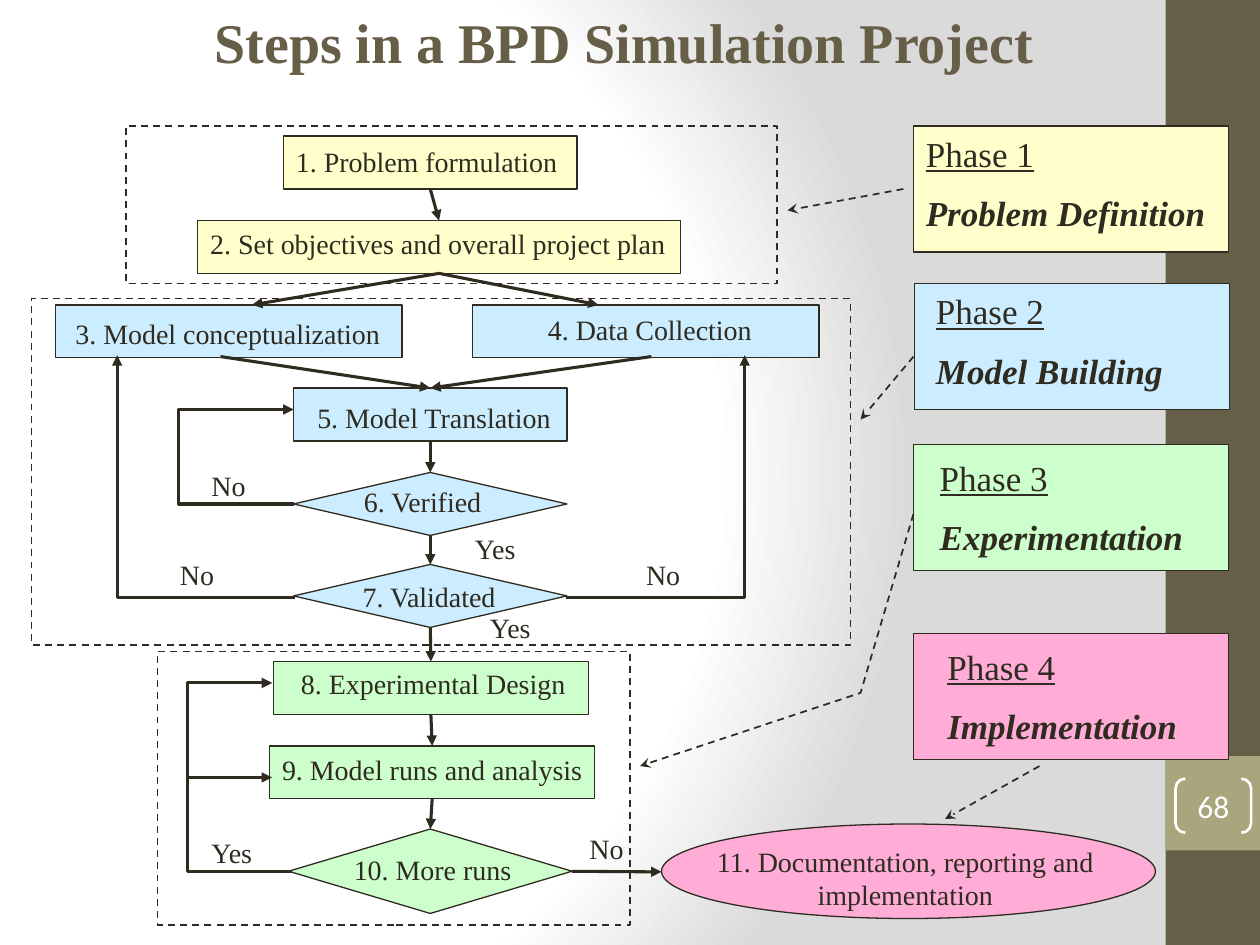
from dataclasses import dataclass
from typing import Any

from lxml import etree
from pptx import Presentation
from pptx import util as u
from pptx.dml.color import RGBColor
from pptx.enum import dml, shapes, text
from pptx.oxml import parse_xml
from pptx.oxml.ns import qn

INK, BROWN, OLIVE, WHITE = "2F2B20", "675E47", "A9A57C", "FFFFFF"
YELLOW, BLUE, GREEN, PINK = "FFFFCC", "CCECFF", "CCFFCC", "FFADD6"
SERIF = "Times New Roman"
RECT, DIAMOND, OVAL, BRACKETS = (
    shapes.MSO_SHAPE.RECTANGLE, shapes.MSO_SHAPE.DIAMOND,
    shapes.MSO_SHAPE.OVAL, shapes.MSO_SHAPE.DOUBLE_BRACKET)
TOP, LEFT, BOTTOM, RIGHT = range(4)
CENTER = text.PP_ALIGN.CENTER
BACKGROUND = """<p:bg xmlns:p="http://schemas.openxmlformats.org/presentationml/2006/main"
 xmlns:a="http://schemas.openxmlformats.org/drawingml/2006/main"><p:bgPr>
 <a:gradFill rotWithShape="1"><a:gsLst>
 <a:gs pos="0"><a:srgbClr val="FFFFFF"/></a:gs>
 <a:gs pos="75000"><a:srgbClr val="FFFFFF"/></a:gs>
 <a:gs pos="100000"><a:srgbClr val="DADADA"/></a:gs></a:gsLst>
 <a:path path="circle"><a:fillToRect l="20000" t="50000" r="100000" b="50000"/></a:path>
 </a:gradFill><a:effectLst/></p:bgPr></p:bg>"""


def color(value):
    return RGBColor.from_string(value)


def style_line(line, width, ink=INK, dashed=False, head=None):
    line.color.rgb = color(ink)
    line.width = u.Pt(width)
    if dashed:
        line.dash_style = dml.MSO_LINE.DASH
    if head:
        etree.SubElement(line._get_or_add_ln(), qn("a:tailEnd"), type=head)


def style_arrow(line, dashed):
    style_line(line, 1 if dashed else 1.75, dashed=dashed,
               head="stealth" if dashed else "triangle")


@dataclass
class Area:
    """A region of the page; its parts are placed from its top left corner."""
    page: Any
    left: float = 0
    top: float = 0

    def point(self, x, y):
        return u.Inches(self.left + x), u.Inches(self.top + y)

    def shape(self, kind, x, y, width, height, fill=None):
        shape = self.page.shapes.add_shape(
            kind, *self.point(x, y), u.Inches(width), u.Inches(height))
        shape.shadow.inherit = False
        if fill:
            shape.fill.solid()
            shape.fill.fore_color.rgb = color(fill)
        else:
            shape.fill.background()
        return shape

    def box(self, kind, x, y, width, height, fill):
        shape = self.shape(kind, x, y, width, height, fill)
        style_line(shape.line, 0.75)
        return shape

    def frame(self, width, height):
        style_line(self.shape(RECT, 0, 0, width, height).line, 1, dashed=True)

    def words(self, content, x, y, width, height=0.37, size=16, ink=INK,
              align=None, wrap=True):
        box = self.page.shapes.add_textbox(
            *self.point(x, y), u.Inches(width), u.Inches(height))
        box.text_frame.word_wrap = wrap
        box.text_frame.text = content
        for para in box.text_frame.paragraphs:
            para.alignment = align
            for span in para.runs:
                span.font.name, span.font.size = SERIF, u.Pt(size)
                span.font.color.rgb = color(ink)
        return box.text_frame

    def answer(self, content, x, y):
        self.words(content, x, y, 0.55 if content == "Yes" else 0.47, wrap=False)

    def arrow(self, start, end, dashed=False):
        """Each end is a point, or a shape and the side to join."""
        begin_joined, end_joined = (hasattr(tip[0], "shape_id") for tip in (start, end))
        line = self.page.shapes.add_connector(
            shapes.MSO_CONNECTOR.STRAIGHT,
            *(self.point(0, 0) if begin_joined else self.point(*start)),
            *(self.point(0, 0) if end_joined else self.point(*end)))
        if begin_joined:
            line.begin_connect(*start)
        if end_joined:
            line.end_connect(*end)
        style_arrow(line.line, dashed)
        etree.SubElement(line._element.spPr, qn("a:effectLst"))

    def bent_arrow(self, *points, dashed=False):
        first, *rest = [self.point(*point) for point in points]
        builder = self.page.shapes.build_freeform(*first)
        builder.add_line_segments(rest, close=False)
        path = builder.convert_to_shape()
        path.shadow.inherit = False
        path.fill.background()
        style_arrow(path.line, dashed)


def page_frame(page, title, number):
    page._element.cSld.insert(0, parse_xml(BACKGROUND))
    area = Area(page)
    for y, height, fill in ((0, 7.5, BROWN), (6, 0.75, OLIVE)):
        area.shape(RECT, 9.25, y, 0.75, height, fill).line.fill.background()
    badge = area.shape(BRACKETS, 9.33, 6.18, 0.6, 0.43)
    badge.adjustments[0] = 0.18
    style_line(badge.line, 1.5, WHITE)
    frame = badge.text_frame
    frame.margin_left = frame.margin_right = frame.margin_top = frame.margin_bottom = 0
    frame.vertical_anchor = text.MSO_ANCHOR.MIDDLE
    frame.text = number
    para = frame.paragraphs[0]
    para.alignment = CENTER
    font = para.runs[0].font
    font.name, font.size, font.color.rgb = "Calibri", u.Pt(18), color(WHITE)
    heading = area.words(title, 0.33, -0.17, 9.25, 1, 32, BROWN, CENTER)
    heading.vertical_anchor = text.MSO_ANCHOR.MIDDLE
    heading.paragraphs[0].runs[0].font.bold = True


def definition_stage(area):
    area.frame(5.17, 1.25)
    problem = area.box(RECT, 1.25, 0.08, 2.33, 0.42, YELLOW)
    area.words("1. Problem formulation", 1.25, 0.1, 2.42)
    plan = area.box(RECT, 0.5, 0.75, 3.83, 0.42, YELLOW)
    area.words("2. Set objectives and overall project plan", 0.57, 0.75, 3.92)
    plan.left = u.Inches(area.left + 0.57)
    area.arrow((problem, BOTTOM), (plan, TOP))
    return plan


def building_stage(area, plan):
    area.frame(6.5, 2.75)
    area.box(RECT, 0.19, 0.05, 2.75, 0.42, BLUE)
    area.words("3. Model conceptualization", 0.25, 0.09, 2.75)
    area.box(RECT, 3.5, 0.05, 2.75, 0.42, BLUE)
    area.words("4. Data Collection", 4, 0.06, 2)
    translation = area.box(RECT, 2.08, 0.71, 2.17, 0.42, BLUE)
    area.words("5. Model Translation", 2.17, 0.76, 2.17)
    verified = area.box(DIAMOND, 2.08, 1.38, 2.17, 0.5, BLUE)
    area.words("6. Verified", 2.54, 1.43, 1.67)
    validated = area.box(DIAMOND, 2.08, 2.11, 2.17, 0.5, BLUE)
    area.words("7. Validated", 2.53, 2.18, 1.58)
    for x in (1.75, 4.5):
        area.arrow((plan, BOTTOM), (x, 0.05))
    for x in (1.5, 4.92):
        area.arrow((x, 0.46), (translation, TOP))
    area.arrow((translation, BOTTOM), (verified, TOP))
    area.arrow((verified, BOTTOM), (validated, TOP))
    area.bent_arrow((2.08, 1.63), (1.17, 1.63), (1.17, 0.88), (2.08, 0.88))
    for start, side in ((2.09, 0.68), (4.24, 5.66)):
        area.bent_arrow((start, 2.37), (side, 2.37), (side, 0.45))
    for answer in (("No", 1.33, 1.3), ("No", 1.08, 2.01), ("No", 4.78, 2.01),
                   ("Yes", 3.42, 1.8), ("Yes", 3.54, 2.43)):
        area.answer(*answer)
    return validated


def experiment_stage(area, validated):
    area.frame(3.75, 2.17)
    design = area.box(RECT, 0.92, 0.08, 2.5, 0.42, GREEN)
    area.words("8. Experimental Design", 1.04, 0.07, 2.31, wrap=False)
    analysis = area.box(RECT, 0.89, 0.75, 2.58, 0.42, GREEN)
    area.words("9. Model runs and analysis", 0.89, 0.75, 2.67)
    more_runs = area.box(DIAMOND, 1.04, 1.41, 2.25, 0.67, GREEN)
    area.words("10. More runs", 1.46, 1.55, 1.46, wrap=False)
    for upper, lower in ((validated, design), (design, analysis), (analysis, more_runs)):
        area.arrow((upper, BOTTOM), (lower, TOP))
    area.arrow((more_runs, RIGHT), (4, 1.75))
    area.bent_arrow((1.07, 1.75), (0.24, 1.75), (0.24, 1), (0.91, 1))
    area.bent_arrow((0.24, 1), (0.24, 0.25), (0.91, 0.25))
    area.answer("Yes", 0.33, 1.41)
    area.answer("No", 3.33, 1.38)


def documentation_stage(area):
    area.box(OVAL, 0, 0, 3.92, 0.75, PINK)
    area.words("11. Documentation, reporting and\nimplementation",
               0.33, 0.11, 3.21, 0.64, align=CENTER)


def phase_card(area, number, name, fill, dx, dy, width, arrow):
    area.box(RECT, 0, 0, 2.5, 1, fill)
    frame = area.words(f"Phase {number}\n{name}", dx, dy, width, 0.93, 20)
    heading, caption = frame.paragraphs
    heading.runs[0].font.underline = True
    caption.space_before = u.Pt(10)
    caption.runs[0].font.bold = caption.runs[0].font.italic = True
    if len(arrow) == 2:
        area.arrow(*arrow, dashed=True)
    else:
        area.bent_arrow(*arrow, dashed=True)


def main():
    deck = Presentation()
    deck.slide_width, deck.slide_height = u.Inches(10), u.Inches(7.5)
    page = deck.slides.add_slide(deck.slide_layouts[6])
    page_frame(page, "Steps in a BPD Simulation Project", "68")
    plan = definition_stage(Area(page, 1, 1))
    validated = building_stage(Area(page, 0.25, 2.37), plan)
    experiment_stage(Area(page, 1.25, 5.17), validated)
    documentation_stage(Area(page, 5.25, 6.54))
    cards = (
        (7.25, 1, "Problem Definition", YELLOW, 0, 0, 2.67, ((-0.08, 0.5), (-1, 0.67))),
        (7.26, 2.25, "Model Building", BLUE, 0.07, 0, 2.33, ((-0.01, 0.58), (-0.43, 1.08))),
        (7.25, 3.53, "Experimentation", GREEN, 0.11, 0.04, 2.33,
         ((0, 0.55), (-0.42, 1.97), (-2.17, 2.55))),
        (7.25, 5.03, "Implementation", PINK, 0.17, 0.04, 2.33, ((1, 1.05), (0.25, 1.47))),
    )
    for number, (left, top, *details) in enumerate(cards, 1):
        phase_card(Area(page, left, top), number, *details)
    deck.save("out.pptx")


if __name__ == "__main__":
    main()
